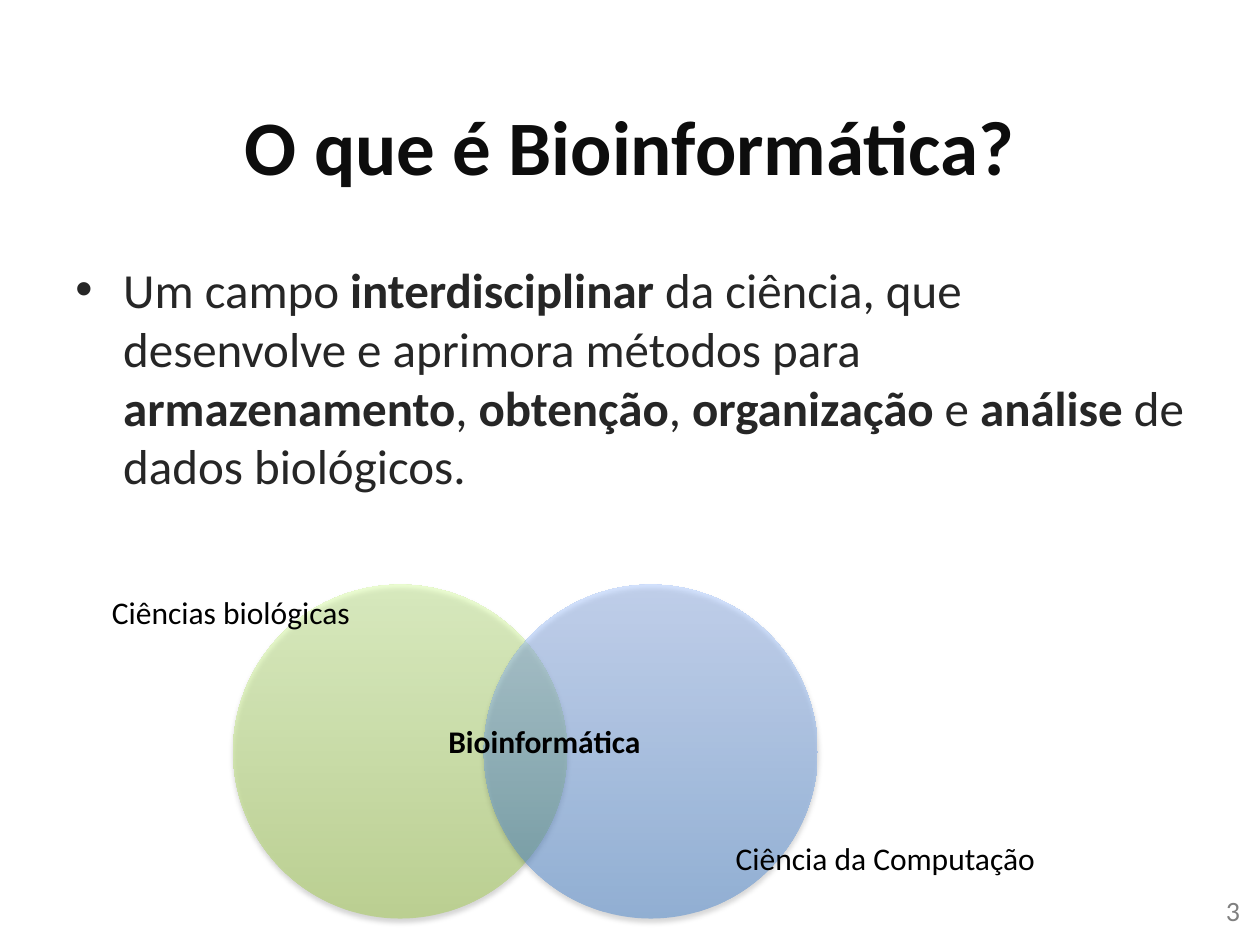
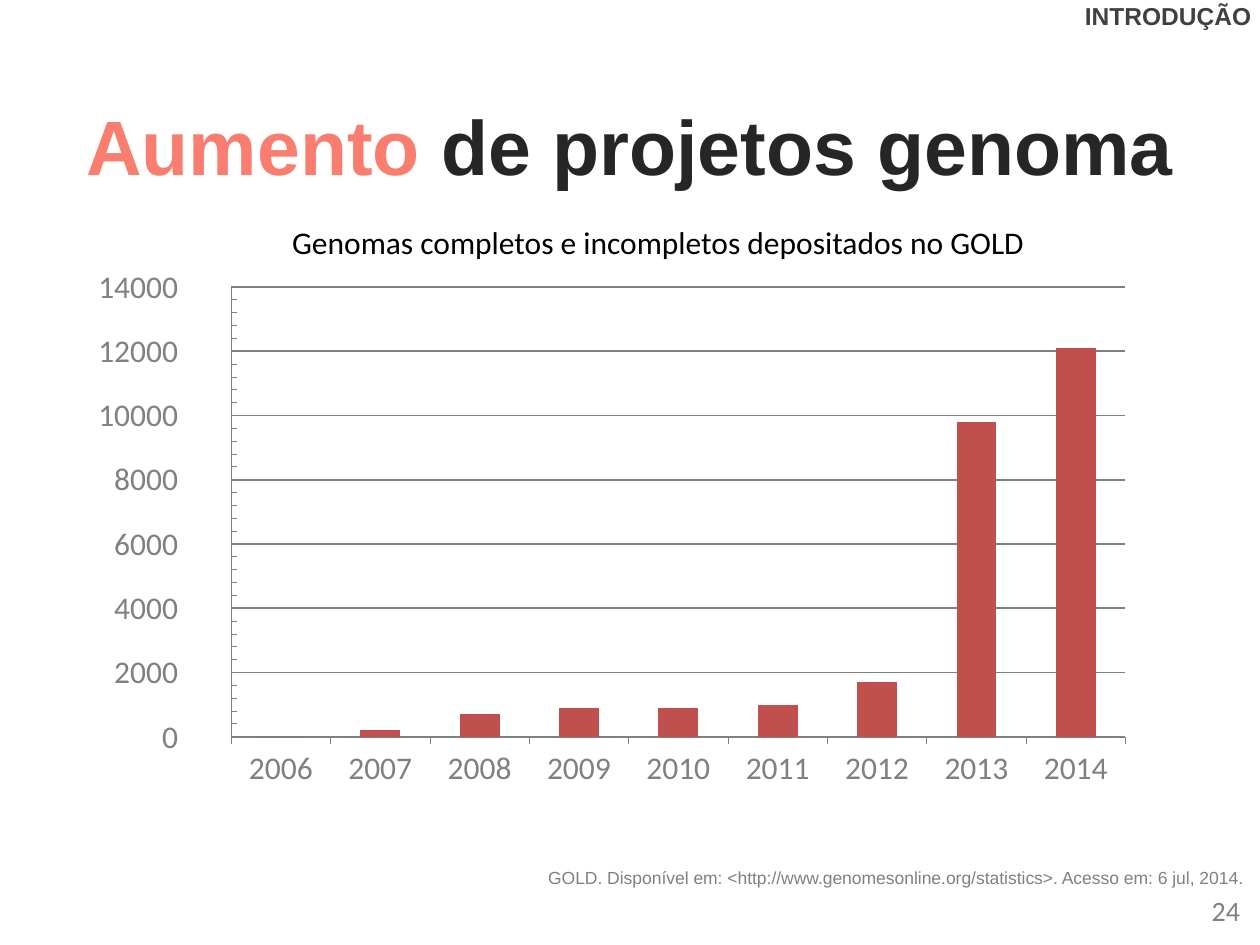
from lxml import etree
from pptx import Presentation
from pptx import util as u
from pptx.chart.data import CategoryChartData
from pptx.dml.color import RGBColor
from pptx.enum import chart as ch, shapes, text
from pptx.oxml.ns import qn

COLS, ROWS = 100, 75  # grid cells of a tenth of an inch
CELL = u.Inches(0.1)
BLACK, INK, GRAY = "000000", "262626", "808080"
LEFT, MID, RIGHT = text.PP_ALIGN.LEFT, text.PP_ALIGN.CENTER, text.PP_ALIGN.RIGHT


def rgb(code):
    return RGBColor.from_string(code)


def grid(*cells):
    return [round(c * CELL) for c in cells]


def sub(node, tag, **attrs):
    item = etree.SubElement(node, qn(tag))
    for key, val in attrs.items():
        item.set(key, str(val))
    return item


def write(para, words, size=18, color=BLACK, face="Calibri", bold=False, align=LEFT):
    """Add words to a paragraph; parts between asterisks turn bold."""
    para.alignment = align
    for i, part in enumerate(words.split("*")):
        if part:
            run = para.add_run()
            run.text = part
            font = run.font
            font.size, font.name = u.Pt(size), face
            font.bold = bold or i % 2 == 1
            font.color.rgb = rgb(color)


def label(slide, words, area, wrap=False, **form):
    frame = slide.shapes.add_textbox(*grid(*area)).text_frame
    frame.word_wrap = wrap
    write(frame.paragraphs[0], words, **form)
    return frame.paragraphs[0]


def bullet(para, indent):
    props = para._p.get_or_add_pPr()
    props.set("marL", str(indent))
    props.set("indent", str(-indent))
    sub(props, "a:buFont", typeface="Arial")
    sub(props, "a:buChar", char="•")


def new_slide(deck, number, parts, **form):
    """Start a slide with its title, given as (words, colour), and its number."""
    slide = deck.slides.add_slide(deck.slide_layouts[5])
    title = slide.shapes.title
    title.left, title.top, title.width, title.height = grid(5, 5.2, 90, 12.5)
    frame = title.text_frame
    frame.auto_size = text.MSO_AUTO_SIZE.NONE
    frame.vertical_anchor = text.MSO_ANCHOR.MIDDLE
    for words, color in parts:
        write(frame.paragraphs[0], words, size=44, color=color, bold=True, align=MID, **form)
    label(slide, str(number), (76.1, 70.4, 23.3, 4), wrap=True, size=16, color=GRAY, align=RIGHT)
    return slide


def circle(slide, left, top, side, low, high, alpha):
    """Draw a see-through disc shaded from low (bottom) to high (top)."""
    disc = slide.shapes.add_shape(shapes.MSO_SHAPE.OVAL, *grid(left, top, side, side))
    disc.line.fill.background()
    disc.fill.gradient()
    disc.fill.gradient_angle = 90
    for stop, color, pos in zip(disc.fill.gradient_stops, (low, high), (0, 1)):
        stop.color.rgb = rgb(color)
        stop.position = pos
    props = disc._element.spPr
    for tint in props.iter(qn("a:srgbClr")):
        sub(tint, "a:alpha", val=alpha * 1000)
    # Soft shadow below the disc
    disc.shadow.inherit = False
    shade = sub(props.find(qn("a:effectLst")), "a:outerShdw", blurRad=u.Pt(3.1),
                dist=u.Pt(1.8), dir=90 * 60000, rotWithShape=0)
    sub(sub(shade, "a:srgbClr", val=BLACK), "a:alpha", val=35000)


def plot_area(chart, x, y, w, h):
    area = chart._chartSpace.chart.plotArea
    for old in area.findall(qn("c:layout")):
        area.remove(old)
    layout = etree.Element(qn("c:layout"))
    area.insert(0, layout)
    box = sub(layout, "c:manualLayout")
    sub(box, "c:layoutTarget", val="inner")
    for key in "xy":
        sub(box, f"c:{key}Mode", val="edge")
    for key, val in zip("xywh", (x, y, w, h)):
        sub(box, f"c:{key}", val=val)


def columns(slide, area, names, vals, color):
    data = CategoryChartData()
    data.categories = names
    data.add_series("Genomas", vals)
    kind = ch.XL_CHART_TYPE.COLUMN_CLUSTERED
    chart = slide.shapes.add_chart(kind, *grid(*area), data).chart
    chart.has_legend = chart.has_title = False
    chart.font.size, chart.font.name = u.Pt(18), "Calibri"
    plot = chart.plots[0]
    plot.gap_width, plot.vary_by_categories = 150, False
    fill = plot.series[0].format.fill
    fill.solid()
    fill.fore_color.rgb = rgb(color)
    # Axes
    cat, val = chart.category_axis, chart.value_axis
    for axis in (cat, val):
        font = axis.tick_labels.font
        font.size, font.name = u.Pt(18), "Calibri"
        font.color.rgb = axis.format.line.color.rgb = rgb(GRAY)
        axis.format.line.width = u.Pt(0.5)
    cat.has_major_gridlines = False
    cat.major_tick_mark = ch.XL_TICK_MARK.OUTSIDE
    val.minimum_scale, val.maximum_scale = 0, 14000
    val.major_unit, val.minor_unit = 2000, 400
    val.major_tick_mark = val.minor_tick_mark = ch.XL_TICK_MARK.INSIDE
    val.tick_labels.number_format = r"#\ ?/?"
    val.tick_labels.number_format_is_linked = False
    line = val.major_gridlines.format.line
    line.color.rgb, line.width = rgb(GRAY), u.Pt(1)
    plot_area(chart, 0.13, 0.19, 0.85, 0.7)


def field(deck):
    slide = new_slide(deck, 3, [("O que é Bioinformática?", "0D0D0D")])
    para = label(slide, "Um campo *interdisciplinar* da ciência, que desenvolve e aprimora "
                 "métodos para *armazenamento*, *obtenção*, *organização* e *análise* "
                 "de dados biológicos.", (5, 20.1, 90, 22), wrap=True, size=28, color=INK)
    bullet(para, u.Inches(0.38))
    # Two overlapping sciences
    circle(slide, 18.5, 46.4, 26.5, "A0CA4A", "DAFFA5", 48)
    circle(slide, 38.4, 46.4, 26.5, "3F80CE", "A4C4FF", 45)
    label(slide, "Ciências biológicas", (7.9, 46.6, 21.1, 4))
    label(slide, "Ciência da Computação", (57.4, 66.1, 26.1, 4))
    label(slide, "Bioinformática", (34.6, 56.8, 17.5, 4), bold=True)


def growth(deck):
    slide = new_slide(deck, 24, [("Aumento ", "F97E70"), ("de projetos genoma", INK)],
                      face="Arial")
    columns(slide, (7.5, 13.1, 83.5, 51), [str(year) for year in range(2006, 2015)],
            (0, 200, 700, 900, 900, 1000, 1700, 9800, 12100), "C0504D")
    label(slide, "Genomas completos e incompletos depositados no GOLD", (22.2, 17.2, 60.8, 4))
    # Source and section mark
    label(slide, "GOLD. Disponível em: <http://www.genomesonline.org/statistics>. "
          "Acesso em: 6 jul, 2014. ", (34.6, 68.3, 65.4, 2.7), wrap=True,
          size=10, color=GRAY, face="Arial", align=RIGHT)
    label(slide, "INTRODUÇÃO", (85, -0.4, 15.3, 3.4), size=14, color="404040",
          face="Arial", bold=True, align=RIGHT)


def main():
    deck = Presentation()
    deck.slide_width, deck.slide_height = grid(COLS, ROWS)
    field(deck)
    growth(deck)
    deck.save("out.pptx")


if __name__ == "__main__":
    main()
